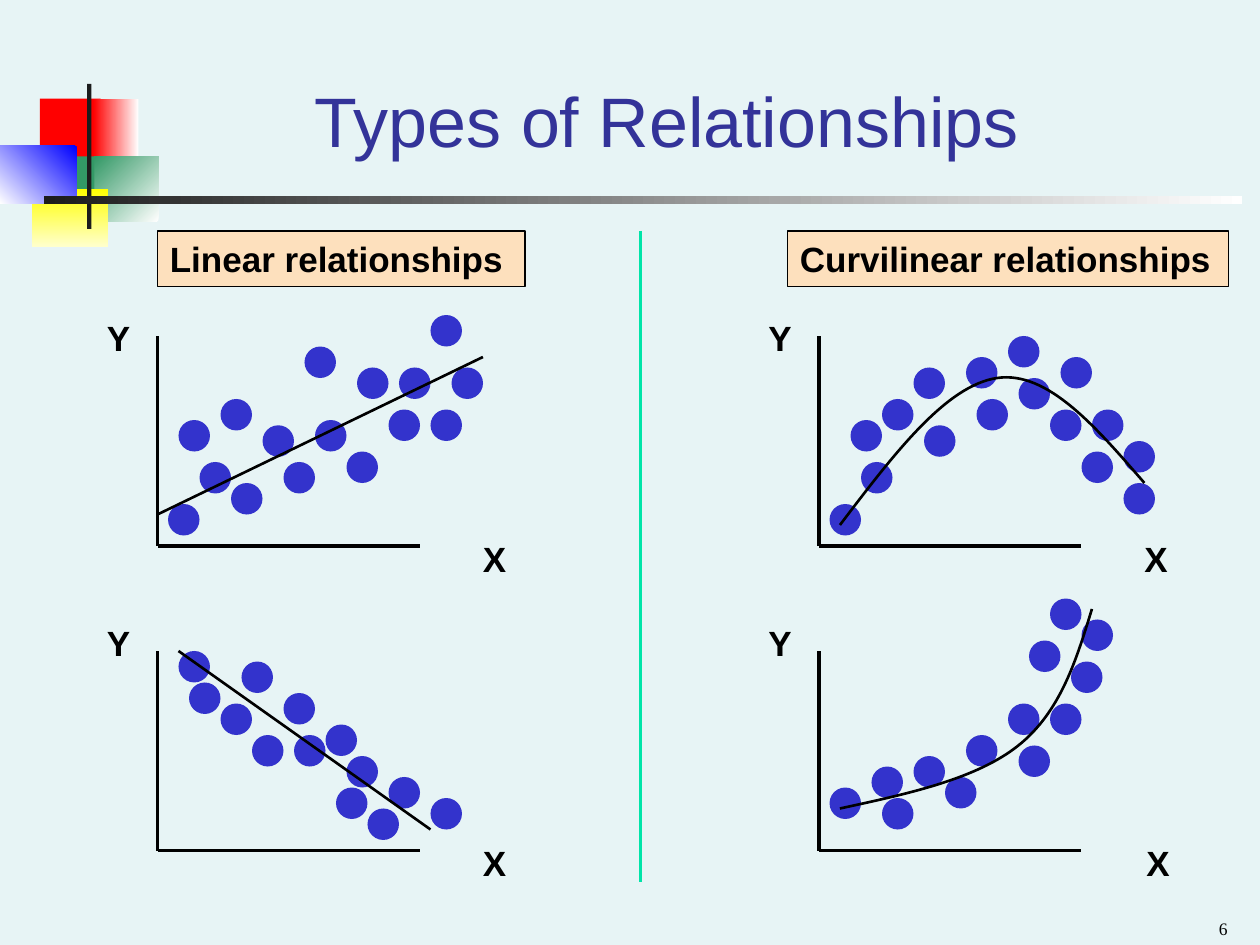
import dataclasses

import pptx
import pptx.dml.color
import pptx.enum.shapes
import pptx.enum.text
import pptx.oxml.ns
import pptx.util
from lxml import etree

EMU_PER_PX = 7620  # 120 px to the inch
DOT = 30
SHAPE = pptx.enum.shapes.MSO_SHAPE
ALIGN = pptx.enum.text.PP_ALIGN
ANCHOR = pptx.enum.text.MSO_ANCHOR
FIT = pptx.enum.text.MSO_AUTO_SIZE
qn = pptx.oxml.ns.qn


@dataclasses.dataclass(frozen=True)
class Theme:
    background: str = "E7F4F5"
    ink: str = "000000"
    title: str = "333399"
    dot: str = "3333CC"
    banner: str = "FDE0BD"
    divider: str = "00E4A8"
    dark: str = "1C1C1C"
    white: str = "FFFFFF"
    red: str = "FF0000"
    green: str = "339966"
    yellow: str = "FFFF00"
    pale_yellow: str = "FFFFCC"
    blue: str = "0000FF"
    sans: str = "Arial"
    serif: str = "Times New Roman"
    title_pt: int = 40
    label_pt: int = 20
    number_pt: int = 10
    axis_pt: float = 2
    trend_pt: float = 1.5
    divider_pt: float = 2.25
    border_pt: float = 1


T = Theme()
LABEL = {"name": T.sans, "size": pptx.util.Pt(T.label_pt), "bold": True}
TITLE = {"name": T.sans, "size": pptx.util.Pt(T.title_pt)}
NUMBER = {"name": T.serif, "size": pptx.util.Pt(T.number_pt)}

# Corner ornament: box, then a colour or (start, end, clockwise angle)
ORNAMENT = [
    ((38, 94, 58, 62), T.red),
    ((89, 94, 43, 62), (T.white, T.red, 180)),
    ((90, 149, 61, 62), (T.white, T.green, 225)),
    ((52, 149, 38, 62), T.green),
    ((30, 180, 73, 55), (T.yellow, T.pale_yellow, 90)),
    ((0, 139, 73, 55), (T.blue, T.white, 135)),
    ((83, 80, 4, 138), T.dark),
    ((42, 187, 1141, 7), (T.white, T.dark, 180)),
]

# Plots: points are px right of and above the axis corner;
# a dot is placed by its top left, a trend of over two points is a Bezier curve
PLOTS = [
    {"corner": (150, 810), "height": 190, "x_label": 298,
     "dots": [(200, 40), (30, 160), (260, 50), (80, 180), (180, 90),
              (220, 70), (120, 150), (20, 190), (60, 140), (90, 110),
              (170, 60), (160, 120), (130, 110)],
     "trend": [(20, 190), (260, 20)]},
    {"corner": (150, 520), "height": 200, "x_label": 298,
     "dots": [(10, 40), (40, 80), (260, 220), (280, 170), (70, 60),
              (230, 170), (180, 90), (190, 170), (140, 190), (20, 120),
              (60, 140), (100, 115), (220, 130), (150, 120), (120, 80),
              (260, 130)],
     "trend": [(0, 30), (310, 180)]},
    {"corner": (780, 810), "height": 190, "x_label": 300,
     "dots": [(10, 60), (50, 80), (250, 220), (240, 180), (60, 50),
              (200, 200), (190, 100), (180, 140), (220, 240), (90, 90),
              (220, 140), (140, 110), (120, 70)],
     "trend": [(20, 40), (85, 54), (150, 68), (190, 100),
               (230, 132), (245, 181), (260, 230)]},
    {"corner": (780, 520), "height": 200, "x_label": 298,
     "dots": [(10, 40), (40, 80), (290, 100), (230, 180), (90, 170),
              (290, 60), (250, 90), (190, 160), (140, 180), (30, 120),
              (60, 140), (100, 115), (220, 130), (150, 140), (180, 200),
              (260, 130)],
     "trend": [(20, 20), (71, 87), (121, 153), (170, 160),
               (218, 167), (264, 113), (310, 60)]},
]


def px(*values):
    return [pptx.util.Emu(v * EMU_PER_PX) for v in values]


def rgb(value):
    return pptx.dml.color.RGBColor.from_string(value)


def set_all(target, values):
    for name, value in values.items():
        setattr(target, name, value)


def set_line(line, color, width):
    line.color.rgb = rgb(color)
    line.width = pptx.util.Pt(width)


def add_shape(s, kind, box, fill):
    sp = s.shapes.add_shape(kind, *px(*box))
    sp.shadow.inherit = False
    sp.line.fill.background()
    if isinstance(fill, str):
        sp.fill.solid()
        sp.fill.fore_color.rgb = rgb(fill)
    else:
        *colors, angle = fill
        sp.fill.gradient()
        sp.fill.gradient_angle = 360 - angle
        for stop, color in zip(sp.fill.gradient_stops, colors):
            stop.color.rgb = rgb(color)
    return sp


def set_text(sp, text, font, color=T.ink, align=ALIGN.LEFT, side=12, **frame):
    tf = sp.text_frame
    left, top = px(side, 6)
    set_all(tf, {"margin_left": left, "margin_right": left,
                 "margin_top": top, "margin_bottom": top,
                 "word_wrap": True, "vertical_anchor": ANCHOR.TOP, **frame})
    p = tf.paragraphs[0]
    p.alignment = align
    r = p.add_run()
    r.text = text
    set_all(r.font, font)
    r.font.color.rgb = rgb(color)


def add_text(s, box, text, font, **options):
    set_text(s.shapes.add_textbox(*px(*box)), text, font, **options)


def add_line(s, start, end, color, width):
    line = s.shapes.add_connector(
        pptx.enum.shapes.MSO_CONNECTOR.STRAIGHT, *px(*start, *end))
    set_line(line.line, color, width)
    etree.SubElement(line._element.spPr, qn("a:effectLst"))


def add_curve(s, points, color, width):
    start, *rest = [px(*point) for point in points]
    builder = s.shapes.build_freeform(*start)
    builder.add_line_segments(rest, close=False)
    sp = builder.convert_to_shape()
    sp.shadow.inherit = False
    sp.fill.background()
    set_line(sp.line, color, width)
    # Turn each three segments into one cubic Bezier
    outline = sp._element.find(".//" + qn("a:path"))
    segments = outline.findall(qn("a:lnTo"))
    for i in range(0, len(segments), 3):
        cubic = etree.SubElement(outline, qn("a:cubicBezTo"))
        for segment in segments[i:i + 3]:
            cubic.append(segment[0])
            outline.remove(segment)


def add_plot(s, corner, height, x_label, dots, trend):
    def at(dx, up):
        return corner[0] + dx, corner[1] - up

    for end in ((0, height), (250, 0)):
        add_line(s, corner, at(*end), T.ink, T.axis_pt)
    for dot in dots:
        add_shape(s, SHAPE.OVAL, (*at(*dot), DOT, DOT), T.dot)
    for text, place in (("Y", (-60, 224)), ("X", (x_label, 14))):
        add_text(s, (*at(*place), 46, 53), text, LABEL,
                 word_wrap=False, auto_size=FIT.SHAPE_TO_FIT_TEXT)
    points = [at(*point) for point in trend]
    if len(points) == 2:
        add_line(s, *points, T.ink, T.trend_pt)
    else:
        add_curve(s, points, T.ink, T.trend_pt)


def add_banner(s, left, width, text):
    sp = add_shape(s, SHAPE.RECTANGLE, (left, 220, width, 53), T.banner)
    set_line(sp.line, T.ink, T.border_pt)
    set_text(sp, text, LABEL, auto_size=FIT.SHAPE_TO_FIT_TEXT)


def main():
    prs = pptx.Presentation()
    prs.slide_width, prs.slide_height = px(1200, 900)
    s = prs.slides.add_slide(prs.slide_layouts[6])
    s.background.fill.solid()
    s.background.fill.fore_color.rgb = rgb(T.background)

    # Ornament and title
    for box, fill in ORNAMENT:
        add_shape(s, SHAPE.RECTANGLE, box, fill)
    add_text(s, (151, 30, 968, 130), "Types of Relationships", TITLE,
             color=T.title, align=ALIGN.CENTER, side=11,
             vertical_anchor=ANCHOR.BOTTOM)

    # Scatter plots
    for plot in PLOTS:
        add_plot(s, **plot)

    # Column headings and divider
    add_banner(s, 150, 350, "Linear relationships")
    add_banner(s, 750, 420, "Curvilinear relationships")
    add_line(s, (610, 220), (610, 840), T.divider, T.divider_pt)

    # Slide number
    add_text(s, (900, 858, 280, 42), "6", NUMBER, align=ALIGN.RIGHT, side=11,
             vertical_anchor=ANCHOR.BOTTOM)
    prs.save("out.pptx")


if __name__ == "__main__":
    main()
